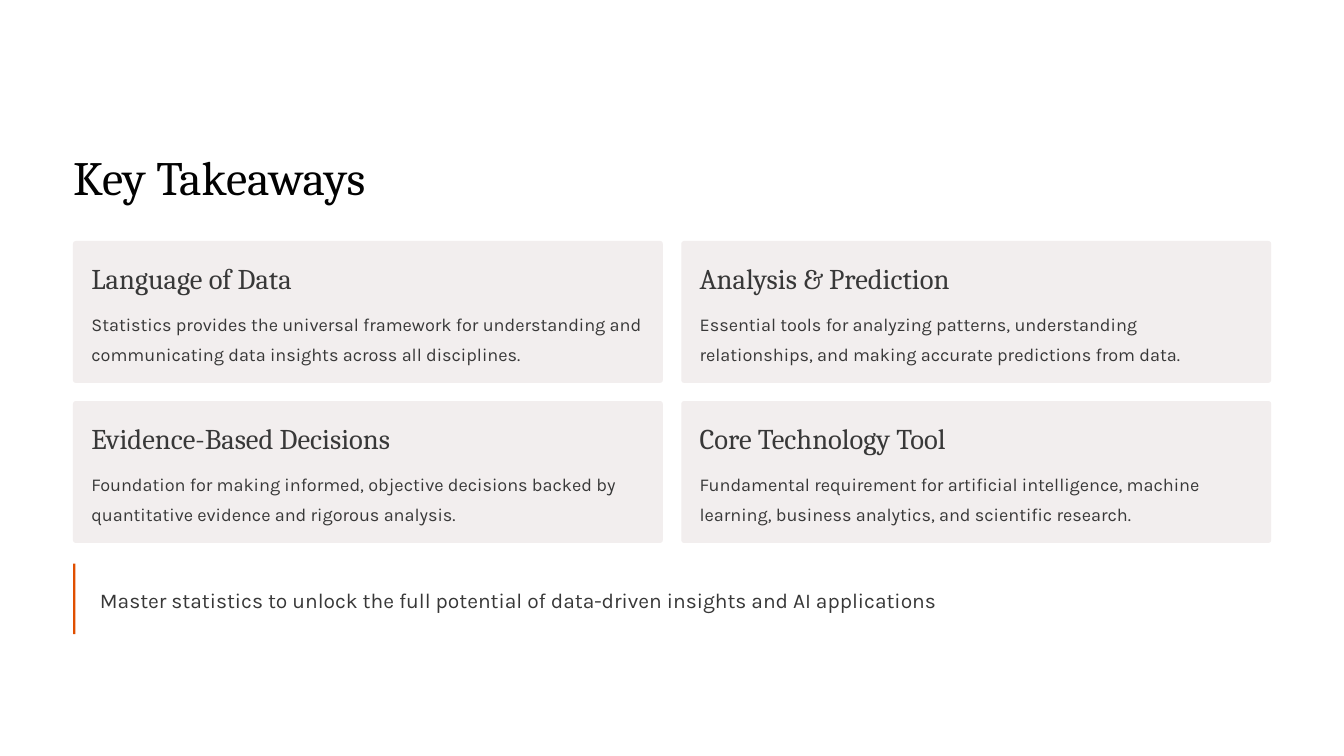
from pptx import Presentation
from pptx.dml.color import RGBColor
from pptx.enum.shapes import MSO_SHAPE
from pptx.enum.text import PP_ALIGN
from pptx.util import Pt

WHITE = RGBColor(0xFF, 0xFF, 0xFF)
BLACK = RGBColor(0x02, 0x02, 0x02)
GREY = RGBColor(0x38, 0x38, 0x38)
PALE = RGBColor(0xF2, 0xEE, 0xEE)
ORANGE = RGBColor(0xE0, 0x4F, 0x00)

LEFT, TOP = 62.6, 206.6
STEP_X, STEP_Y = 521.4, 137.2

CARDS = [
    ("Language of Data",
     "Statistics provides the universal framework for understanding and "
     "communicating data insights across all disciplines."),
    ("Analysis & Prediction",
     "Essential tools for analyzing patterns, understanding "
     "relationships, and making accurate predictions from data."),
    ("Evidence-Based Decisions",
     "Foundation for making informed, objective decisions backed by "
     "quantitative evidence and rigorous analysis."),
    ("Core Technology Tool",
     "Fundamental requirement for artificial intelligence, machine "
     "learning, business analytics, and scientific research."),
]


class Deck:
    """Hold the fonts and the current slide, and draw its elements."""

    head = "Cambria"
    body = "Karla"

    def __init__(self, show):
        self.slide = show.slides.add_slide(show.slide_layouts[6])
        fill = self.slide.background.fill
        fill.solid()
        fill.fore_color.rgb = WHITE

    def text(self, words, x, y, w, h, size, line, font, color=GREY):
        box = self.slide.shapes.add_textbox(Pt(x), Pt(y), Pt(w), Pt(h))
        frame = box.text_frame
        frame.word_wrap = True
        frame.margin_left = frame.margin_right = 0
        frame.margin_top = frame.margin_bottom = 0
        para = frame.paragraphs[0]
        para.text = words
        para.alignment = PP_ALIGN.LEFT
        para.line_spacing = Pt(line)
        para.font.size = Pt(size)
        para.font.name = font
        para.font.color.rgb = color

    def block(self, kind, x, y, w, h, color):
        shape = self.slide.shapes.add_shape(kind, Pt(x), Pt(y), Pt(w), Pt(h))
        shape.shadow.inherit = False
        shape.fill.solid()
        shape.fill.fore_color.rgb = color
        shape.line.fill.background()
        return shape

    def card(self, title, words, x, y):
        shape = self.block(MSO_SHAPE.ROUNDED_RECTANGLE, x, y, 505.6, 121.6, PALE)
        shape.adjustments[0] = 0.02
        self.text(title, x + 15.7, y + 15.7, 284, 31, 24.5, 30.5, self.head)
        self.text(words, x + 15.7, y + 56, 474.5, 50, 15.5, 25, self.body)


def main():
    show = Presentation()
    show.slide_width, show.slide_height = Pt(1152), Pt(648)
    deck = Deck(show)
    deck.text("Key Takeaways", LEFT, 105.1, 566, 70.5, 41, 70.5, deck.head, BLACK)
    for i, (title, words) in enumerate(CARDS):
        row, col = divmod(i, 2)
        deck.card(title, words, LEFT + col * STEP_X, TOP + row * STEP_Y)
    deck.text("Master statistics to unlock the full potential of data-driven "
              "insights and AI applications",
              85.7, 500.4, 1003.7, 25, 18, 25, deck.body)
    deck.block(MSO_SHAPE.RECTANGLE, LEFT, 483.1, 2, 60.5, ORANGE)
    show.save("out.pptx")


if __name__ == "__main__":
    main()
